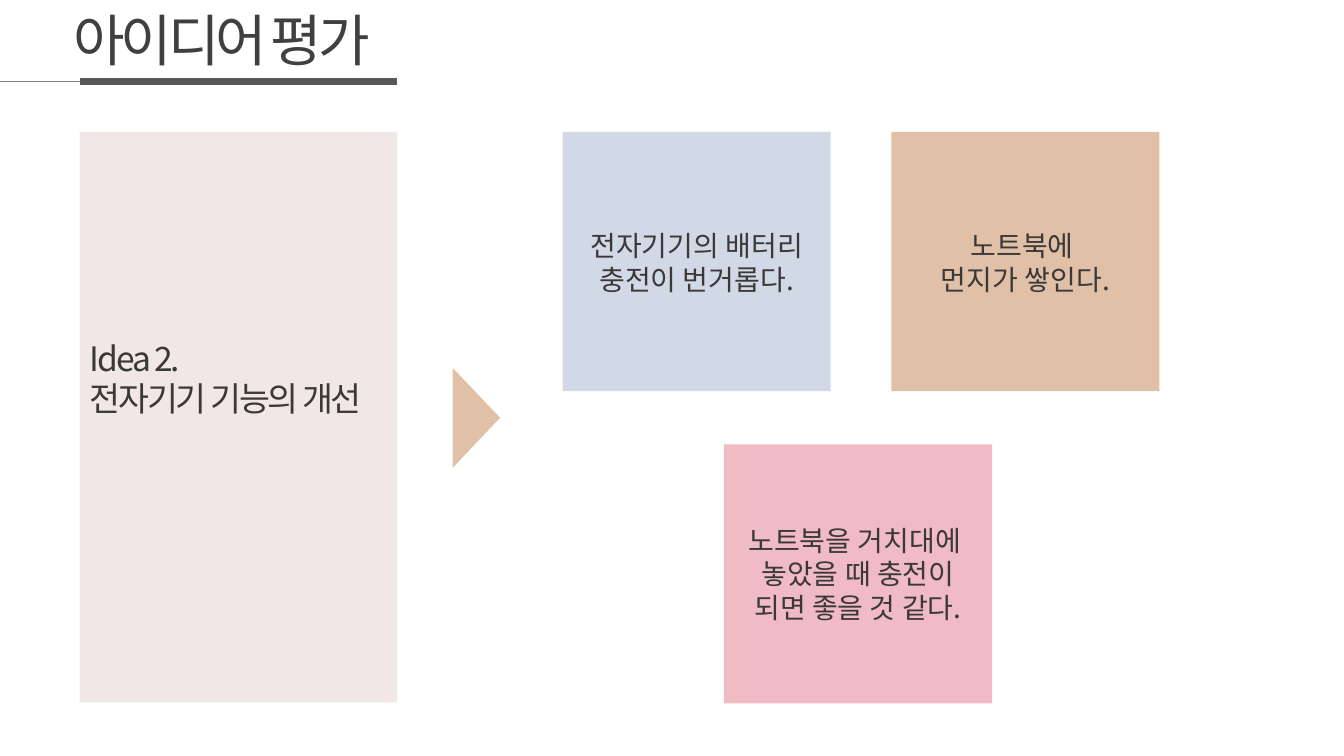
from dataclasses import dataclass

from lxml.etree import SubElement
from pptx import Presentation
from pptx.dml.color import RGBColor
from pptx.enum.shapes import MSO_CONNECTOR as Connector, MSO_SHAPE as Shape
from pptx.enum.text import MSO_ANCHOR as Anchor, MSO_AUTO_SIZE as AutoSize, PP_ALIGN as Align
from pptx.oxml.ns import qn
from pptx.util import Inches, Pt


@dataclass(frozen=True)
class Theme:
    """Colours, font and type sizes of the slide."""
    font: str = "Noto Sans CJK KR"
    title_ink: str = "404040"
    ink: str = "3B3838"
    thin_rule: str = "808080"
    thick_rule: str = "595959"
    idea: str = "F1E7E6"
    blue: str = "D1D9E6"
    tan: str = "E0C1A7"
    pink: str = "F0BBC5"
    title_size: int = 40
    idea_size: int = 24
    card_size: int = 20


THEME = Theme()
MARGIN, IDEA_WIDTH = 0.79, 3.15
RULE_TOP, CONTENT_TOP = 0.81, 1.31
CARD_WIDTH, CARD_HEIGHT = 2.66, 2.57

# left, top, fill, text top, text height, wording
CARDS = [
    (5.58, CONTENT_TOP, THEME.blue, 2.22, 0.77, "전자기기의 배터리 충전이 번거롭다."),
    (8.84, CONTENT_TOP, THEME.tan, 2.22, 0.77, "노트북에 \n먼지가 쌓인다."),
    (7.18, 4.41, THEME.pink, 5.14, 1.11,
     "노트북을 거치대에 \n놓았을 때 충전이 되면 좋을 것 같다."),
]


def write_text(holder, text, *, size, color=THEME.ink, align=Align.LEFT,
               spacing=0, wrap=True):
    """Put one formatted paragraph in a text holder; newlines become line breaks."""
    frame = holder.text_frame
    frame.word_wrap = wrap
    frame.auto_size = AutoSize.SHAPE_TO_FIT_TEXT
    frame.vertical_anchor = Anchor.TOP
    paragraph = frame.paragraphs[0]
    paragraph.text = text
    paragraph.alignment = align
    for run in paragraph.runs:
        run.font.size = Pt(size)
        run.font.name = THEME.font
        run.font.color.rgb = RGBColor.from_string(color)
        properties = run.font._element
        SubElement(properties, qn("a:ea")).set("typeface", THEME.font)
        if spacing:
            properties.set("spc", str(int(spacing * 100)))


def add_label(slide, left, top, width, height, text, **text_format):
    """Add a text box with formatted text."""
    label = slide.shapes.add_textbox(Inches(left), Inches(top), Inches(width), Inches(height))
    write_text(label, text, **text_format)


def add_block(slide, left, top, width, height, fill, kind=Shape.RECTANGLE, rotation=0):
    """Add a flat filled shape without outline."""
    block = slide.shapes.add_shape(kind, Inches(left), Inches(top), Inches(width), Inches(height))
    block.shadow.inherit = False
    block.fill.solid()
    block.fill.fore_color.rgb = RGBColor.from_string(fill)
    block.line.fill.background()
    block.rotation = rotation


def add_rule(slide, start, end, color, weight):
    """Add a horizontal line under the title."""
    rule = slide.shapes.add_connector(Connector.STRAIGHT, Inches(start), Inches(RULE_TOP),
                                      Inches(end), Inches(RULE_TOP))
    rule.line.color.rgb = RGBColor.from_string(color)
    rule.line.width = Pt(weight)
    SubElement(rule._element.spPr, qn("a:effectLst"))


def set_title(slide, text):
    """Move the title placeholder to the top left and fill it."""
    title = slide.shapes.title
    title.left, title.top = Inches(0.63), Inches(0)
    title.width, title.height = Inches(3.46), Inches(0.77)
    write_text(title, text, size=THEME.title_size, color=THEME.title_ink,
               spacing=-3, wrap=False)


def add_card(slide, left, top, fill, text_top, text_height, text):
    """Add a coloured card with its centred statement."""
    add_block(slide, left, top, CARD_WIDTH, CARD_HEIGHT, fill)
    add_label(slide, left, text_top, CARD_WIDTH, text_height, text,
              size=THEME.card_size, align=Align.CENTER)


def main():
    """Build the slide and save it."""
    deck = Presentation()
    deck.slide_width, deck.slide_height = Inches(13.33), Inches(7.5)
    slide = deck.slides.add_slide(deck.slide_layouts.get_by_name("Title Only"))

    set_title(slide, "아이디어 평가")
    add_rule(slide, 0, MARGIN, THEME.thin_rule, 0.5)
    add_rule(slide, MARGIN, MARGIN + IDEA_WIDTH, THEME.thick_rule, 4.5)

    add_block(slide, MARGIN, CONTENT_TOP, IDEA_WIDTH, 5.66, THEME.idea)
    add_label(slide, MARGIN, 3.3, 3.22, 0.91, "Idea 2.\n전자기기 기능의 개선",
              size=THEME.idea_size, spacing=-1.5, wrap=False)
    add_block(slide, 4.23, 3.91, 0.99, 0.47, THEME.tan, Shape.ISOSCELES_TRIANGLE, 90)

    for card in CARDS:
        add_card(slide, *card)

    deck.save("out.pptx")


main()
